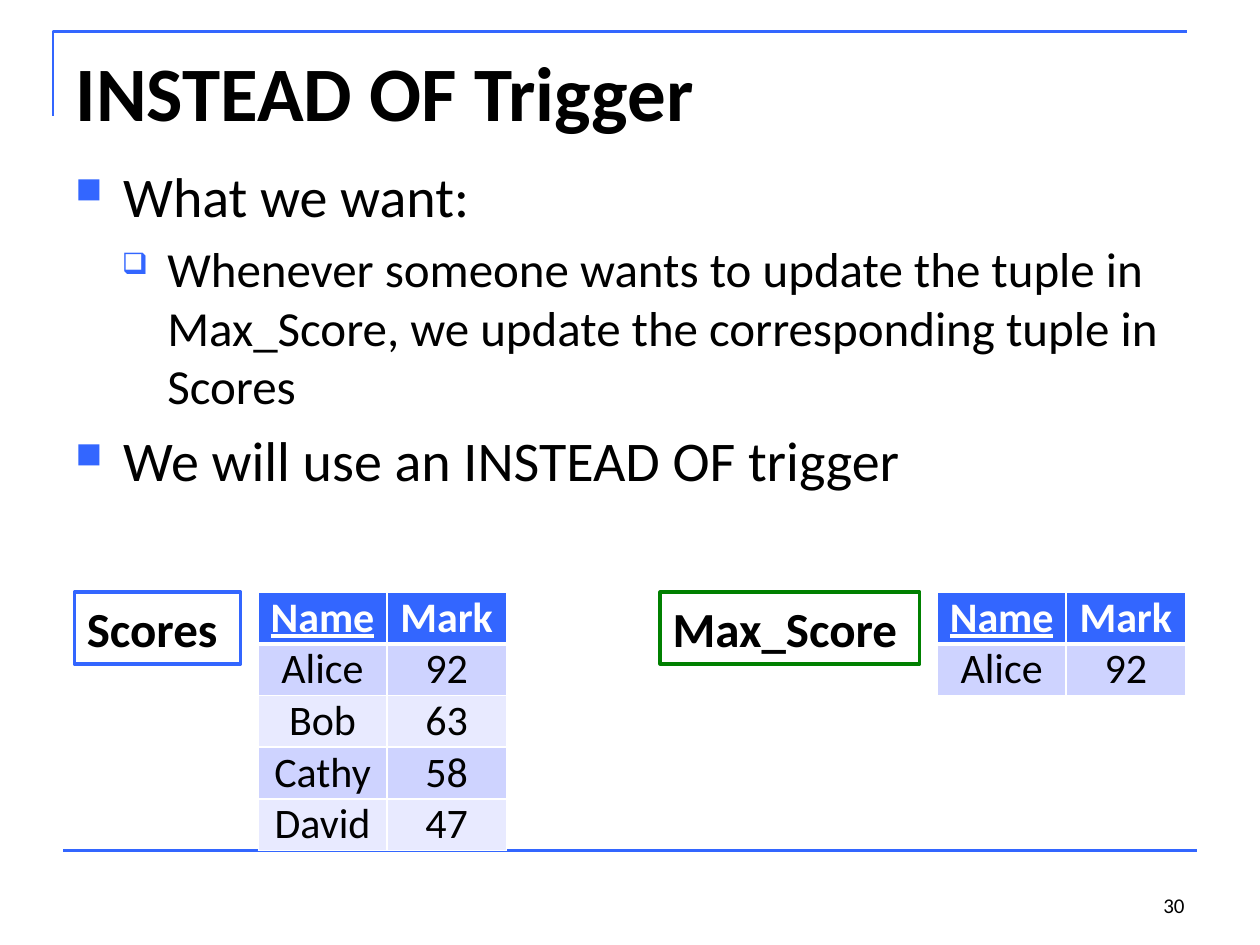
from lxml.etree import SubElement
from pptx import Presentation
from pptx.dml.color import RGBColor
from pptx.enum.shapes import MSO_CONNECTOR, MSO_SHAPE
from pptx.enum.text import MSO_ANCHOR, PP_ALIGN
from pptx.oxml.ns import qn
from pptx.util import Pt

PX = 9144  # 100 px to the inch
FONT = "Calibri"
BLUE = RGBColor(0x33, 0x66, 0xFF)
GREEN = RGBColor(0x00, 0x80, 0x00)
BLACK = RGBColor(0x00, 0x00, 0x00)
WHITE = RGBColor(0xFF, 0xFF, 0xFF)
BAND_DARK = RGBColor(0xCE, 0xD3, 0xFF)
BAND_LIGHT = RGBColor(0xE8, 0xEA, 0xFF)

# Per outline level: text size, left margin, hanging indent, bullet, bullet percent
LEVELS = [(32, 38, 38, "■", 65), (28, 73, 36, "❑", 60)]
COLUMN_WIDTHS = (102, 95)
ROW_HEIGHT = 41


def emu(*lengths):
    return [length * PX for length in lengths]


def style(paragraph, size, color=BLACK, bold=False, underline=False):
    for run in paragraph.runs:
        run.font.name = FONT
        run.font.size = Pt(size)
        run.font.color.rgb = color
        run.font.bold = bold
        run.font.underline = underline


def add_frame_lines(slide, left, top, right, bottom):
    builder = slide.shapes.build_freeform(left, top + 67, scale=PX)
    builder.add_line_segments([(left, top), (right - 8, top)], close=False)
    corner = builder.convert_to_shape()
    corner.shadow.inherit = False
    corner.fill.background()
    rule = slide.shapes.add_connector(
        MSO_CONNECTOR.STRAIGHT, *emu(left + 8, bottom, right, bottom))
    SubElement(rule._element.spPr, qn("a:effectLst"))
    for outline in (corner.line, rule.line):
        outline.color.rgb = BLUE
        outline.width = Pt(1.5)


def add_title(slide, text, left, top, width, height):
    title = slide.shapes.title
    title.left, title.top, title.width, title.height = emu(left, top, width, height)
    frame = title.text_frame
    frame.text = text
    frame.vertical_anchor = MSO_ANCHOR.TOP
    frame.paragraphs[0].alignment = PP_ALIGN.LEFT
    style(frame.paragraphs[0], 44, bold=True)


def add_bullet(paragraph, level):
    size, margin, hanging, symbol, percent = LEVELS[level]
    paragraph.level = level
    paragraph.space_before = Pt(size * 0.2)
    props = paragraph._p.get_or_add_pPr()
    props.set("marL", str(margin * PX))
    props.set("indent", str(-hanging * PX))
    color = SubElement(props, qn("a:buClr"))
    SubElement(color, qn("a:srgbClr"), val=str(BLUE))
    SubElement(props, qn("a:buSzPct"), val=str(percent * 1000))
    SubElement(props, qn("a:buChar"), char=symbol)
    style(paragraph, size)


def add_outline(slide, items, left, top, width, height):
    frame = slide.shapes.add_textbox(*emu(left, top, width, height)).text_frame
    frame.word_wrap = True
    frame.text = "\n".join(text for _, text in items)
    for paragraph, (level, _) in zip(frame.paragraphs, items):
        add_bullet(paragraph, level)


def set_borders(cell, **widths):
    """Draw white borders; widths are points keyed by side letter L, R, T, B."""
    props = cell._tc.get_or_add_tcPr()
    for side in "LRTB":
        line = SubElement(props, qn(f"a:ln{side}"), w=str(Pt(widths.get(side, 1))))
        fill = SubElement(line, qn("a:solidFill"))
        SubElement(fill, qn("a:srgbClr"), val=str(WHITE))


def fill_cell(cell, text, row, column):
    header = row == 0
    set_borders(cell, T=3 if row == 1 else 1, B=3 if header else 1)
    cell.fill.solid()
    cell.fill.fore_color.rgb = BLUE if header else (BAND_LIGHT, BAND_DARK)[row % 2]
    cell.margin_left = cell.margin_right = cell.margin_top = cell.margin_bottom = 0
    cell.text_frame.text = text
    paragraph = cell.text_frame.paragraphs[0]
    paragraph.alignment = PP_ALIGN.CENTER
    style(paragraph, 24, WHITE if header else BLACK, header, header and column == 0)


def add_relation(slide, name, color, records, left, top, label_width):
    """Place the boxed relation name with its table to the right."""
    label = slide.shapes.add_shape(
        MSO_SHAPE.RECTANGLE, *emu(left, top, label_width, 57))
    label.shadow.inherit = False
    label.fill.background()
    label.line.color.rgb = color
    label.line.width = Pt(2)
    label.text_frame.text = name
    label.text_frame.word_wrap = False
    label.text_frame.vertical_anchor = MSO_ANCHOR.TOP
    label.text_frame.paragraphs[0].alignment = PP_ALIGN.LEFT
    style(label.text_frame.paragraphs[0], 28, bold=True)

    rows = [("Name", "Mark"), *records]
    table = slide.shapes.add_table(
        len(rows), len(COLUMN_WIDTHS),
        *emu(left + label_width + 14, top, sum(COLUMN_WIDTHS), ROW_HEIGHT * len(rows)),
    ).table
    for column, width in zip(table.columns, COLUMN_WIDTHS):
        column.width = width * PX
    for r, values in enumerate(rows):
        table.rows[r].height = ROW_HEIGHT * PX
        for c, text in enumerate(values):
            fill_cell(table.cell(r, c), text, r, c)


def add_page_number(slide, number, left, top, width, height):
    frame = slide.shapes.add_textbox(*emu(left, top, width, height)).text_frame
    frame.word_wrap = True
    frame.vertical_anchor = MSO_ANCHOR.BOTTOM
    frame.text = number
    frame.paragraphs[0].alignment = PP_ALIGN.RIGHT
    style(frame.paragraphs[0], 12)


def main():
    presentation = Presentation()
    presentation.slide_width, presentation.slide_height = emu(1000, 750)
    slide = presentation.slides.add_slide(presentation.slide_layouts[5])

    add_frame_lines(slide, 42, 25, 950, 675)
    add_title(slide, "INSTEAD OF Trigger", 50, 30, 900, 125)
    add_outline(slide, [
        (0, "What we want:"),
        (1, "Whenever someone wants to update the tuple in Max_Score, "
            "we update the corresponding tuple in Scores"),
        (0, "We will use an INSTEAD OF trigger"),
    ], 50, 123, 900, 319)
    scores = [("Alice", "92"), ("Bob", "63"), ("Cathy", "58"), ("David", "47")]
    add_relation(slide, "Scores", BLUE, scores, 59, 470, 132)
    add_relation(slide, "Max_Score", GREEN, scores[:1], 524, 470, 206)
    add_page_number(slide, "30", 717, 683, 233, 50)

    presentation.save("out.pptx")


if __name__ == "__main__":
    main()
